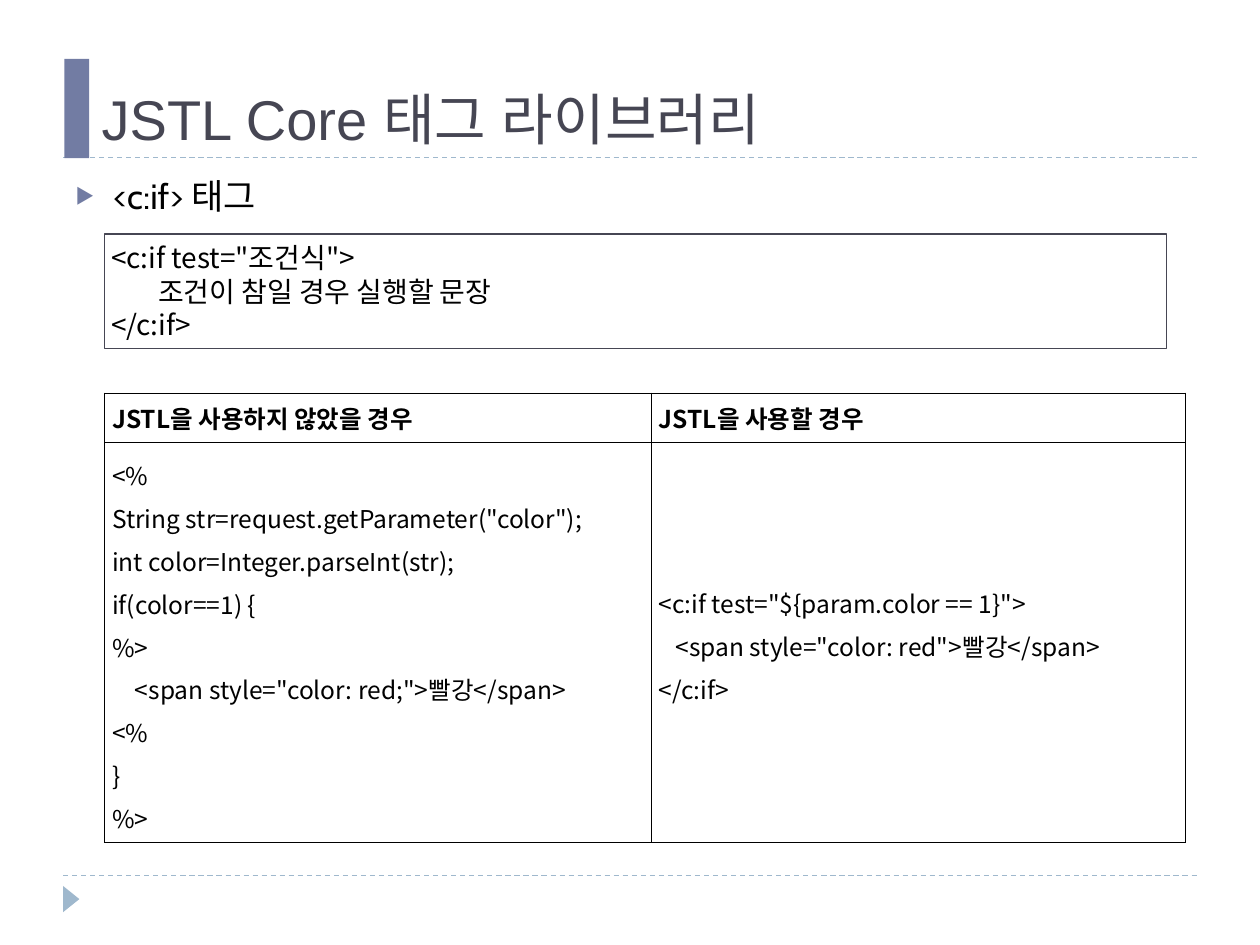
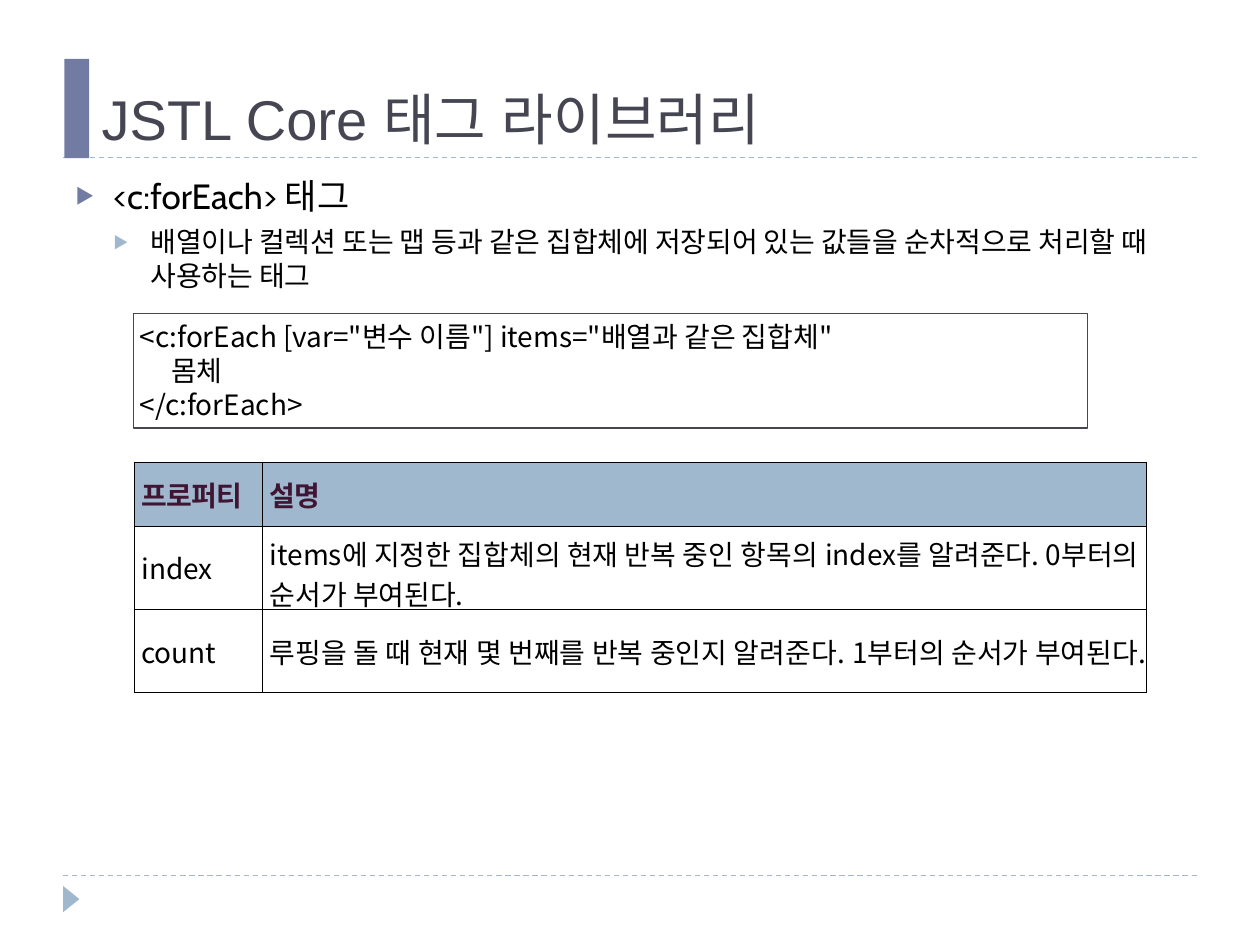
import pptx
import pptx.dml.color
import pptx.enum.dml
import pptx.enum.shapes
import pptx.enum.text
import pptx.oxml
import pptx.oxml.ns
import pptx.util
from pptx.util import Cm

SLATE, BLUE, INK, BLACK, PLUM = "727CA3", "9FB8CD", "464653", "000000", "401433"
BODY_FONT, CODE_FONT, TITLE_FONT = "Cabin", "Noto Sans CJK KR", "Arial"
TITLE = "JSTL Core 태그 라이브러리"
SHAPE = pptx.enum.shapes.MSO_SHAPE
ANCHOR = pptx.enum.text.MSO_ANCHOR
ALIGN = pptx.enum.text.PP_ALIGN
JUSTIFY = {"alignment": ALIGN.JUSTIFY}
JUSTIFY_WIDE = {"alignment": ALIGN.JUSTIFY, "line_spacing": 1.2}


def rgb(value):
    """Turn a hex string into a colour."""
    return pptx.dml.color.RGBColor.from_string(value)


def set_all(target, values):
    """Set every attribute named in a dict."""
    for name, value in values.items():
        setattr(target, name, value)


def element(tag, **attributes):
    """Make a drawing element with attributes."""
    item = pptx.oxml.parse_xml(f"<a:{tag} {pptx.oxml.ns.nsdecls('a')}/>")
    for name, value in attributes.items():
        item.set(name, str(value))
    return item


def set_frame(tf, inset=0.13, **values):
    """Format a text frame with equal insets."""
    sides = ("margin_left", "margin_top", "margin_right", "margin_bottom")
    set_all(tf, dict.fromkeys(sides, Cm(inset)))
    set_all(tf, {"word_wrap": True, **values})


def add_run(p, text, size, color=BLACK, font=CODE_FONT, bold=False):
    """Add a formatted run for Latin and Korean text."""
    r = p.add_run()
    r.text = text
    set_all(r.font, {"name": font, "size": pptx.util.Pt(size), "bold": bold})
    r.font.color.rgb = rgb(color)
    r.font._element.append(element("ea", typeface=font))
    return r


def write_lines(tf, lines, size, form, **style):
    """Write lines, each a string or a pair of string and indent in cm."""
    for i, line in enumerate(lines):
        text, indent = (line, 0) if isinstance(line, str) else line
        p = tf.paragraphs[0] if i == 0 else tf.add_paragraph()
        set_all(p, {"alignment": ALIGN.LEFT, **form})
        if indent:
            p._p.get_or_add_pPr().set("marL", str(Cm(indent)))
        add_run(p, text, size, **style)


def add_rule(s, y):
    """Add a dashed rule across the slide."""
    rule = s.shapes.add_connector(
        pptx.enum.shapes.MSO_CONNECTOR.STRAIGHT, Cm(1.27), Cm(y), Cm(24.13), Cm(y))
    rule.line.color.rgb = rgb(BLUE)
    set_all(rule.line, {"width": pptx.util.Pt(0.75),
                        "dash_style": pptx.enum.dml.MSO_LINE.DASH})
    rule._element.spPr.append(element("effectLst"))


def add_block(s, kind, box, fill, rotation=0):
    """Add a plain filled shape."""
    sp = s.shapes.add_shape(kind, *map(Cm, box))
    sp.shadow.inherit = False
    sp.fill.solid()
    sp.fill.fore_color.rgb = rgb(fill)
    sp.line.fill.background()
    sp.rotation = rotation


def add_slide(prs):
    """Add a slide with the shared title, rules and marks."""
    s = prs.slides.add_slide(prs.slide_layouts[5])
    add_rule(s, 17.65)
    add_rule(s, 3.18)
    add_block(s, SHAPE.ISOSCELES_TRIANGLE, (1.17, 17.96, 0.53, 0.33), BLUE, 90)
    add_block(s, SHAPE.RECTANGLE, (1.3, 1.19, 0.5, 2), SLATE)
    title = s.shapes.title
    set_all(title, {"left": Cm(1.8), "top": Cm(1.19),
                    "width": Cm(22.33), "height": Cm(2)})
    tf = title.text_frame
    set_frame(tf, vertical_anchor=ANCHOR.BOTTOM,
              auto_size=pptx.enum.text.MSO_AUTO_SIZE.NONE)
    tf.margin_left = tf.margin_right = Cm(0.25)
    write_lines(tf, [TITLE], 32, {}, color=INK, font=TITLE_FONT)
    return s


def add_bullets(s, items):
    """Add bulleted lines given as pairs of level and text."""
    tf = s.shapes.add_textbox(Cm(1.27), Cm(3.38), Cm(22.86), Cm(13.72)).text_frame
    set_frame(tf)
    tf.margin_left = tf.margin_right = Cm(0.25)
    for i, (level, text) in enumerate(items):
        p = tf.paragraphs[0] if i == 0 else tf.add_paragraph()
        set_all(p, {"level": level, "space_before": pptx.util.Pt(6 - level)})
        pPr = p._p.get_or_add_pPr()
        pPr.set("marL", str(Cm(0.76 * (level + 1))))
        pPr.set("indent", str(-Cm(0.76)))
        color = element("buClr")
        color.append(element("srgbClr", val=(SLATE, BLUE)[level]))
        for item in (color, element("buSzPct", val=55000),
                     element("buFont", typeface=CODE_FONT),
                     element("buChar", char="▶")):
            pPr.append(item)
        add_run(p, text, (20, 16)[level], font=BODY_FONT)


def add_code(s, box, lines):
    """Add an outlined box of code."""
    sp = s.shapes.add_shape(SHAPE.RECTANGLE, *map(Cm, box))
    sp.shadow.inherit = False
    sp.fill.background()
    sp.line.color.rgb = rgb(INK)
    sp.line.width = pptx.util.Pt(0.75)
    set_frame(sp.text_frame, vertical_anchor=ANCHOR.TOP)
    write_lines(sp.text_frame, lines, 16, {})


def add_grid(s, left, top, widths, heights):
    """Add a bare table with thin black borders."""
    frame = s.shapes.add_table(len(heights), len(widths), Cm(left), Cm(top),
                               Cm(sum(widths)), Cm(sum(heights)))
    table = frame.table
    set_all(table, {"first_row": False, "horz_banding": False})
    for column, width in zip(table.columns, widths):
        column.width = Cm(width)
    for row, height in zip(table.rows, heights):
        row.height = Cm(height)
    for cell in table.iter_cells():
        set_frame(cell, 0.15, vertical_anchor=ANCHOR.MIDDLE)
        tcPr = cell._tc.get_or_add_tcPr()
        for side in ("lnL", "lnR", "lnT", "lnB"):
            line = element(side, w=pptx.util.Pt(0.28))
            fill = element("solidFill")
            fill.append(element("srgbClr", val=BLACK))
            line.append(fill)
            tcPr.append(line)
        cell.fill.background()
    return table


def add_if_slide(prs):
    """Build the slide on the if tag."""
    s = add_slide(prs)
    add_bullets(s, [(0, "<c:if> 태그")])
    table = add_grid(s, 2.11, 7.92, (11.02, 10.77), (1, 8.06))
    for i, text in enumerate(("JSTL을 사용하지 않았을 경우", "JSTL을 사용할 경우")):
        write_lines(table.cell(0, i).text_frame, [text], 14, {}, bold=True)
    scriptlet = ["<%", 'String str=request.getParameter("color");',
                 "int color=Integer.parseInt(str);", "if(color==1) {", "%>",
                 ('<span style="color: red;">빨강</span>', 0.46), "<%", "}", "%>"]
    tag = ['<c:if test="${param.color == 1}">',
           ('<span style="color: red">빨강</span>', 0.34), "</c:if>"]
    for i, lines in enumerate((scriptlet, tag)):
        write_lines(table.cell(1, i).text_frame, lines, 14, JUSTIFY_WIDE)
    add_code(s, (2.11, 4.72, 21.41, 2.31),
             ['<c:if test="조건식">', ("조건이 참일 경우 실행할 문장", 0.95), "</c:if>"])


def add_for_each_slide(prs):
    """Build the slide on the forEach tag."""
    s = add_slide(prs)
    add_bullets(s, [(0, "<c:forEach> 태그"),
                    (1, "배열이나 컬렉션 또는 맵 등과 같은 집합체에 저장되어 있는 값들을 "
                        "순차적으로 처리할 때 사용하는 태그")])
    add_code(s, (2.69, 6.32, 19.23, 2.31),
             ['<c:forEach [var="변수 이름"] items="배열과 같은 집합체"',
              ("몸체", 0.63), "</c:forEach>"])
    table = add_grid(s, 2.7, 9.32, (2.59, 17.81), (1.28, 1.68, 1.68))
    for i, text in enumerate(("프로퍼티", "설명")):
        cell = table.cell(0, i)
        cell.fill.solid()
        cell.fill.fore_color.rgb = rgb(BLUE)
        r = add_run(cell.text_frame.paragraphs[0], text, 16, PLUM, bold=True)
        r.font._element.set("spc", "-40")
    rows = (("index", "items에 지정한 집합체의 현재 반복 중인 항목의 index를 알려준다. "
                      "0부터의 순서가 부여된다."),
            ("count", "루핑을 돌 때 현재 몇 번째를 반복 중인지 알려준다. "
                      "1부터의 순서가 부여된다."))
    for i, (name, text) in enumerate(rows, 1):
        write_lines(table.cell(i, 0).text_frame, [name], 16, {})
        write_lines(table.cell(i, 1).text_frame, [text], 16, JUSTIFY)


def main():
    """Build and save the slides."""
    prs = pptx.Presentation()
    set_all(prs, {"slide_width": Cm(25.4), "slide_height": Cm(19.05)})
    add_if_slide(prs)
    add_for_each_slide(prs)
    prs.save("out.pptx")


main()
